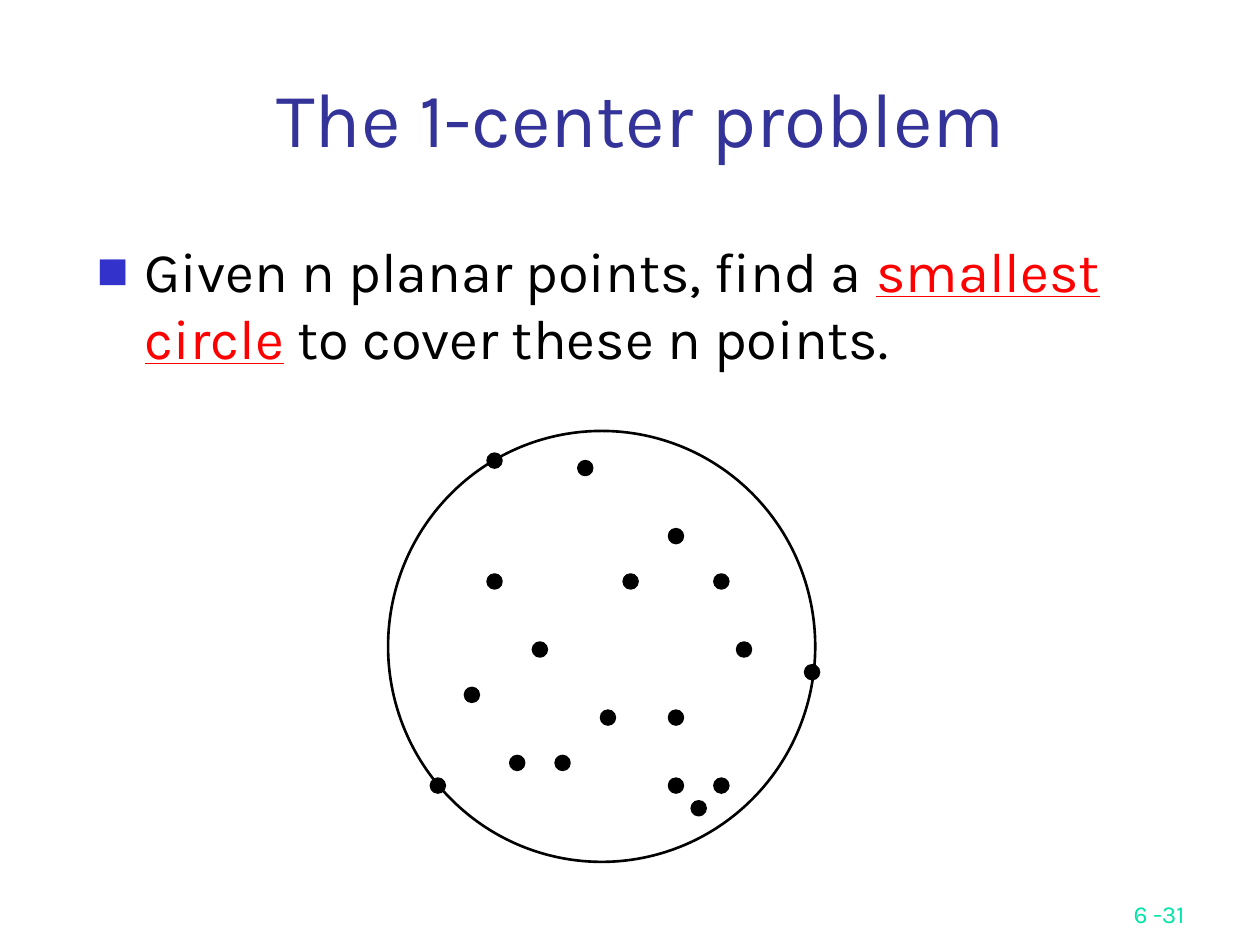
import pptx
import pptx.dml.color
import pptx.enum.shapes
import pptx.enum.text
import pptx.oxml
import pptx.oxml.ns
import pptx.util
from pptx.util import Inches

FONT = "Karla"
GRID = 0.18  # spacing of the lattice the points sit on
DOT = 0.11
# Column and row of each point on the lattice
POINTS = [
    (1, -0.33), (5, 0), (9, 3), (7, 5), (11, 5), (12, 8), (1, 5), (3, 8), (0, 10),
    (2, 13), (4, 13), (6, 11), (9, 11), (9, 14), (11, 14), (10, 15), (15, 9), (-1.5, 14),
]


def color(value):
    return pptx.dml.color.RGBColor.from_string(value)


def add_text(slide, box, runs, size, align, anchor):
    """Place one paragraph of (text, colour, underline) runs."""
    shape = slide.shapes.add_textbox(*(Inches(length) for length in box))
    frame = shape.text_frame
    frame.word_wrap = True
    frame.vertical_anchor = anchor
    paragraph = frame.paragraphs[0]
    paragraph.alignment = align
    for text, text_color, underline in runs:
        run = paragraph.add_run()
        run.text = text
        formats = {"name": FONT, "size": pptx.util.Pt(size), "underline": underline}
        for name, value in formats.items():
            setattr(run.font, name, value)
        run.font.color.rgb = color(text_color)
    return paragraph


def add_bullet(paragraph):
    properties = paragraph._p.get_or_add_pPr()
    properties.set("marL", str(Inches(0.38)))
    properties.set("indent", str(-Inches(0.38)))
    namespace = pptx.oxml.ns.nsdecls("a")
    for element in (
        f'<a:buClr {namespace}><a:srgbClr val="3333CC"/></a:buClr>',
        f'<a:buSzPct {namespace} val="60000"/>',
        f'<a:buFont {namespace} typeface="{FONT}"/>',
        f'<a:buChar {namespace} char="■"/>',
    ):
        properties.append(pptx.oxml.parse_xml(element))


def add_circle(slide, left, top, width, height, fill=None):
    shape = slide.shapes.add_shape(
        pptx.enum.shapes.MSO_SHAPE.OVAL,
        Inches(left), Inches(top), Inches(width), Inches(height))
    shape.shadow.inherit = False
    if fill:
        shape.fill.solid()
        shape.fill.fore_color.rgb = color(fill)
    else:
        shape.fill.background()
    shape.line.color.rgb = color("000000")
    shape.line.width = pptx.util.Pt(1.5)


def add_title(slide, box):
    add_text(slide, box, [("The 1-center problem", "333399", False)], 44,
             pptx.enum.text.PP_ALIGN.CENTER, pptx.enum.text.MSO_ANCHOR.BOTTOM)


def add_statement(slide, box):
    runs = [
        ("Given n planar points, find a ", "000000", False),
        ("smallest circle", "FF0000", True),
        (" to cover these n points.", "000000", False),
    ]
    paragraph = add_text(slide, box, runs, 32, pptx.enum.text.PP_ALIGN.LEFT,
                         pptx.enum.text.MSO_ANCHOR.TOP)
    add_bullet(paragraph)


def add_diagram(slide, box):
    left, top, width, height = box
    # Covering circle
    add_circle(slide, left, top, width, height)
    # Covered points
    for column, row in POINTS:
        add_circle(slide, left + 0.61 + column * GRID, top + 0.24 + row * GRID,
                   DOT, DOT, "000000")


def add_page_number(slide, box):
    add_text(slide, box, [("6 -31", "00E4A8", False)], 14,
             pptx.enum.text.PP_ALIGN.RIGHT, pptx.enum.text.MSO_ANCHOR.BOTTOM)


def main():
    presentation = pptx.Presentation()
    presentation.slide_width = Inches(10)
    presentation.slide_height = Inches(7.5)
    slide = presentation.slides.add_slide(presentation.slide_layouts[6])
    add_page_number(slide, (7.42, 6.92, 2.08, 0.5))
    add_statement(slide, (0.67, 1.83, 8.5, 4.5))
    add_title(slide, (0.83, 0.5, 8.52, 0.84))
    add_diagram(slide, (3.08, 3.42, 3.39, 3.42))
    presentation.save("out.pptx")


if __name__ == "__main__":
    main()
